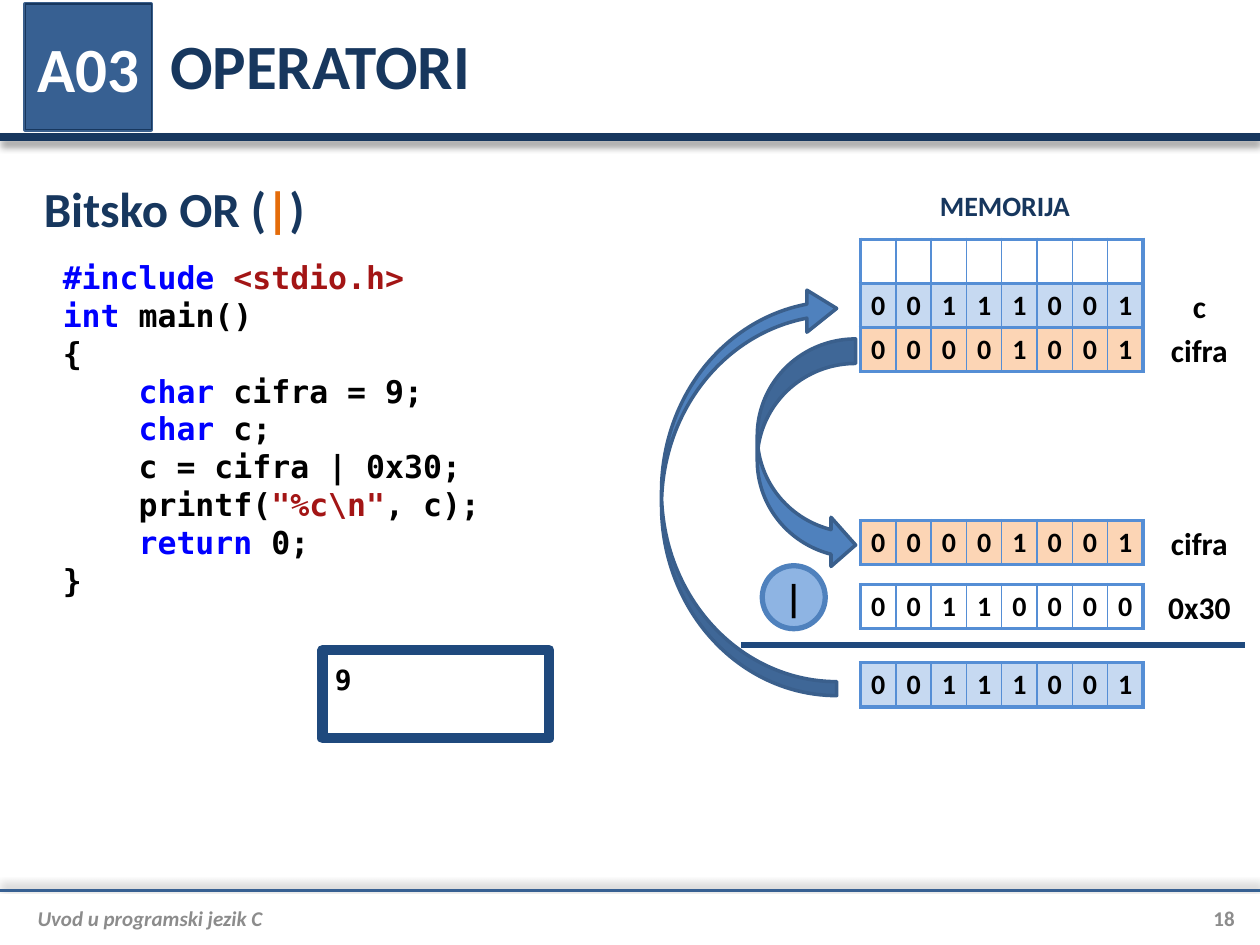
from dataclasses import dataclass

from lxml.etree import SubElement as Sub
from pptx import Presentation as Deck
from pptx.dml.color import RGBColor as RGB
from pptx.enum.shapes import MSO_CONNECTOR as Link, MSO_SHAPE as Kind
from pptx.enum.text import MSO_ANCHOR as Anchor, MSO_AUTO_SIZE as Auto, PP_ALIGN as Align
from pptx.oxml.ns import qn
from pptx.slide import Slide
from pptx.util import Pt

BLACK = RGB(0, 0, 0)
WHITE = RGB(255, 255, 255)
GRAY = RGB(0x8C, 0x8C, 0x8C)
NAVY = RGB(0x17, 0x37, 0x5E)
STEEL = RGB(0x37, 0x60, 0x92)
DEEP = RGB(0x1F, 0x49, 0x7D)
BLUE = RGB(0x4F, 0x81, 0xBD)
EDGE = RGB(0x3A, 0x5F, 0x8C)
GRID = RGB(0x55, 0x8E, 0xD5)
PALE = RGB(0xC6, 0xD9, 0xF1)
PEACH = RGB(0xFC, 0xD5, 0xB5)
SKY = RGB(0x8E, 0xB4, 0xE3)
ORANGE = RGB(0xE4, 0x6C, 0x0A)
KEY = RGB(0, 0, 255)
QUOTE = RGB(0xA3, 0x15, 0x15)

PLAIN = "{2D5ABB26-0587-4C30-8999-92F81FD0307C}"
WIDE = 720
LEFT, COL, ROW, BITS = 491.8, 20.16, 25.2, 8
TOP = 136.8
C_ROW, D_ROW = TOP + ROW, TOP + 2 * ROW
CODE = [
    [("#include", KEY), (" ", BLACK), ("<stdio.h>", QUOTE)],
    [("int", KEY), (" main()", BLACK)],
    [("{", BLACK)],
    [("    char", KEY), (" cifra = 9;", BLACK)],
    [("    char", KEY), (" c;", BLACK)],
    [("    c = cifra | 0x30;", BLACK)],
    [("    printf(", BLACK), (r'"%c\n"', QUOTE), (", c);", BLACK)],
    [("    return", KEY), (" 0;", BLACK)],
    [("}", BLACK)],
]


@dataclass
class Page:
    """Hold the style and the current slide, and draw each kind of element."""

    slide: Slide
    face: str = "Calibri"
    mono: str = "DejaVu Sans Mono"

    def letter(self, frame, lines, size, face=None, align=Align.LEFT,
               anchor=Anchor.MIDDLE, pad=None, slant=False):
        frame.word_wrap = True
        frame.auto_size = Auto.NONE
        frame.vertical_anchor = anchor
        if pad is not None:
            (frame.margin_left, frame.margin_top,
             frame.margin_right, frame.margin_bottom) = map(Pt, pad)
        for i, line in enumerate(lines):
            para = frame.add_paragraph() if i else frame.paragraphs[0]
            para.alignment = align
            para.space_before = Pt(0)
            for text, color in line:
                run = para.add_run()
                run.text = text
                self.style(run.font, size, color, face, slant)

    def style(self, font, size, color, face=None, slant=False):
        font.name = face or self.face
        font.size = Pt(size)
        font.bold = True
        font.italic = slant
        font.color.rgb = color

    def place(self, shape, box):
        shape.left, shape.top, shape.width, shape.height = map(Pt, box)

    def paint(self, shape, fill, edge, width):
        shape.shadow.inherit = False
        shape.fill.solid()
        shape.fill.fore_color.rgb = fill
        shape.line.color.rgb = edge
        shape.line.width = Pt(width)

    def title(self, text, box):
        head = self.slide.shapes.title
        self.place(head, box)
        self.letter(head.text_frame, [[(text, NAVY)]], 36)

    def badge(self, text, box):
        body = self.slide.placeholders[1]
        self.shape(Kind.RECTANGLE, box, BLUE, EDGE, 2)
        self.slide.shapes._spTree.append(body._element)
        self.place(body, box)
        self.paint(body, STEEL, NAVY, 0.75)
        prop = body.text_frame.paragraphs[0]._p.get_or_add_pPr()
        prop.set("marL", "0")
        prop.set("indent", "0")
        Sub(prop, qn("a:buNone"))
        self.letter(body.text_frame, [[(text, WHITE)]], 36,
                    align=Align.CENTER, pad=(0, 0, 0, 0))

    def text(self, box, lines, size, **look):
        label = self.slide.shapes.add_textbox(*map(Pt, box))
        self.letter(label.text_frame, lines, size, **look)

    def shape(self, kind, box, fill, edge, width):
        shape = self.slide.shapes.add_shape(kind, *map(Pt, box))
        self.paint(shape, fill, edge, width)
        return shape

    def rule(self, start, end, y, color, width, angle=None):
        line = self.slide.shapes.add_connector(Link.STRAIGHT, *map(Pt, (start, y, end, y)))
        line.line.color.rgb = color
        line.line.width = Pt(width)
        effect = Sub(line._element.spPr, qn("a:effectLst"))
        if angle is not None:
            shade = Sub(effect, qn("a:outerShdw"), blurRad=str(Pt(4)), dist=str(Pt(3)),
                        dir=str(angle * 60000), algn="ctr", rotWithShape="0")
            tone = Sub(shade, qn("a:srgbClr"), val=str(BLACK))
            Sub(tone, qn("a:alpha"), val="40000")

    def border(self, cell, col):
        prop = cell._tc.get_or_add_tcPr()
        sides = {"L": 1 if col else 2.25, "R": 1 if col < BITS - 1 else 2.25,
                 "T": 2.25, "B": 2.25}
        for side, width in sides.items():
            line = Sub(prop, qn("a:ln" + side), w=str(Pt(width)))
            Sub(Sub(line, qn("a:solidFill")), qn("a:srgbClr"), val=str(GRID))

    def grid(self, y, bits="", fill=None, rows=1, lined=True):
        box = map(Pt, (LEFT, y, COL * BITS, ROW * rows))
        table = self.slide.shapes.add_table(rows, BITS, *box).table
        table._tbl.tblPr[0].text = PLAIN
        table.first_row = table.horz_banding = False
        for r in range(rows):
            for c in range(BITS):
                cell = table.cell(r, c)
                cell.margin_left = cell.margin_right = 0
                cell.margin_top = cell.margin_bottom = 0
                cell.vertical_anchor = Anchor.MIDDLE
                if lined:
                    self.border(cell, c)
                if fill:
                    cell.fill.solid()
                    cell.fill.fore_color.rgb = fill
                else:
                    cell.fill.background()
                if bits:
                    para = cell.text_frame.paragraphs[0]
                    para.text = bits[c]
                    para.alignment = Align.CENTER
                    self.style(para.runs[0].font, 16, BLACK)

    def label(self, y, text):
        self.text((656.6, y, 57.6, ROW), [[(text, BLACK)]], 18, align=Align.CENTER)


def main():
    deck = Deck()
    deck.slide_width, deck.slide_height = Pt(WIDE), Pt(540)
    page = Page(deck.slides.add_slide(deck.slide_layouts[1]))

    page.rule(0, WIDE, 78.5, NAVY, 4.5, 90)
    page.rule(0, WIDE, 509, STEEL, 1.5, 270)
    page.title("OPERATORI", (90, 0.7, 615.6, 72))
    page.text((14.4, 512, 655.2, 25.2), [[("Uvod u programski jezik C", GRAY)]], 12,
              pad=(7.2, 0, 0, 0), slant=True)
    page.text((669.6, 512, 36, 25.2), [[("18", GRAY)]], 12,
              align=Align.RIGHT, pad=(0, 0, 0, 0))
    page.badge("A03", (14.4, 2.2, 72, 72))

    page.text((18, 100.8, 638.6, 36),
              [[("Bitsko OR (", NAVY), ("|", ORANGE), (")", NAVY)]], 28)
    page.text((28.8, 144, 360, 203.8), CODE, 18, face=page.mono, anchor=Anchor.TOP)
    screen = page.shape(Kind.RECTANGLE, (184.3, 371.5, 129.6, 50.4), WHITE, DEEP, 6)
    page.letter(screen.text_frame, [[("9", BLACK)]], 16, face=page.mono,
                anchor=Anchor.TOP, pad=(7.2, 7.2, 7.2, 7.2))

    digit, mask, char = "00001001", "00110000", "00111001"
    page.grid(TOP, rows=3)
    page.grid(D_ROW, fill=PEACH)
    page.grid(D_ROW, digit, lined=False)
    page.text((520.6, 104.4, 107.3, 26.6), [[("MEMORIJA", NAVY)]], 16,
              align=Align.CENTER, anchor=Anchor.TOP)
    page.grid(C_ROW, fill=PALE)
    page.grid(297.4, digit, PEACH)
    page.grid(C_ROW, char, lined=False)
    page.shape(Kind.CURVED_RIGHT_ARROW, (432.7, 193.7, 56.2, 131.8), BLUE, EDGE, 2)
    sign = page.shape(Kind.OVAL, (435.6, 323.3, 36, 36), SKY, BLUE, 3)
    page.letter(sign.text_frame, [[("|", BLACK)]], 22, align=Align.CENTER, pad=(0, 0, 0, 0))
    page.grid(334.1, mask)
    page.rule(423.4, 711.4, 368.6, DEEP, 3)
    for y, text in ((C_ROW, "c"), (D_ROW, "cifra"), (297.4, "cifra"), (334.1, "0x30")):
        page.label(y, text)
    page.grid(378.7, char, PALE)
    arrow = page.shape(Kind.CURVED_LEFT_ARROW, (378, 164.2, 100.1, 233.3), BLUE, EDGE, 2)
    arrow.rotation = 180
    for i, value in enumerate((0.08, 0.24, 0.17)):
        arrow.adjustments[i] = value

    deck.save("out.pptx")


if __name__ == "__main__":
    main()
